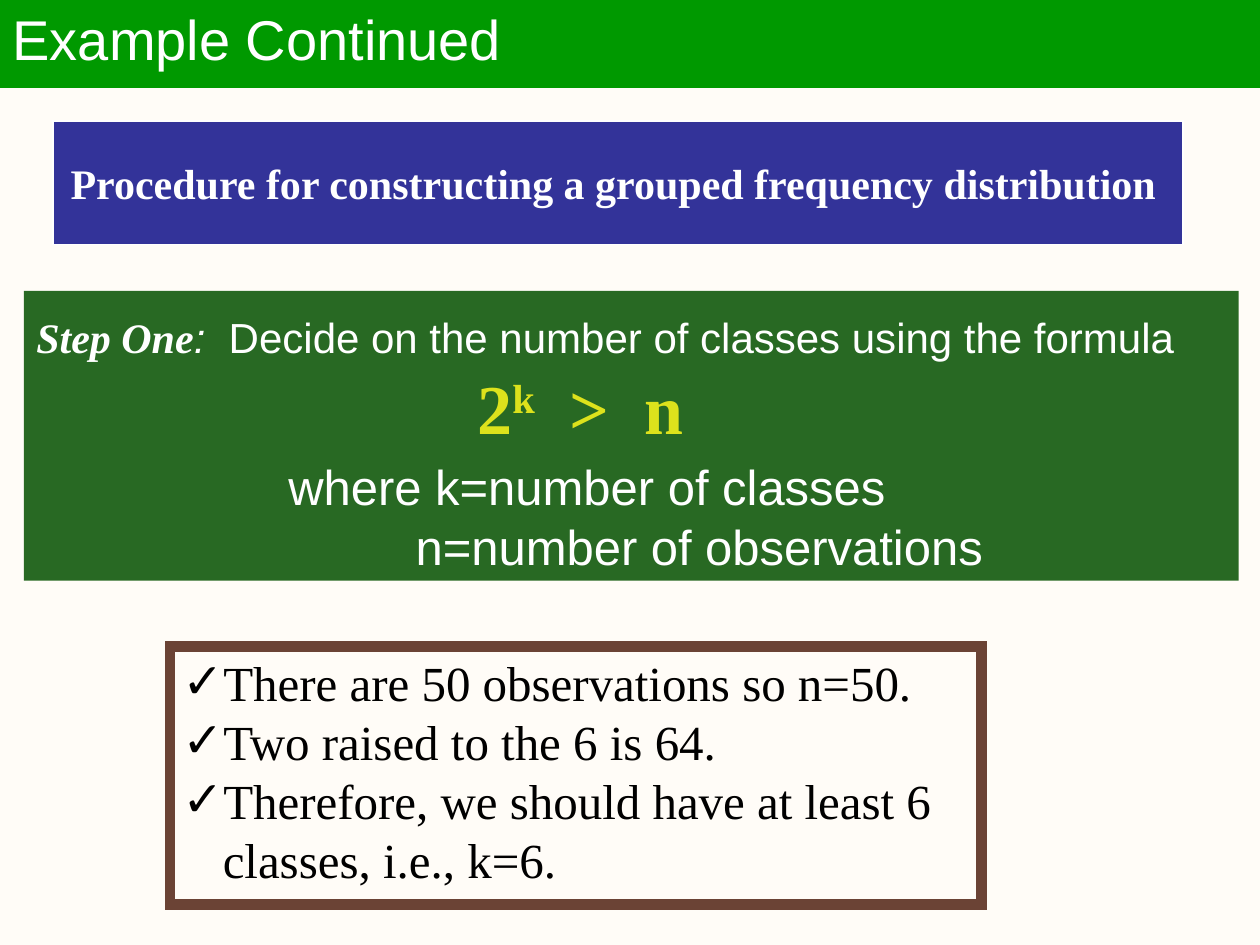
"""Build the slide on choosing the number of classes for a grouped frequency distribution."""
from lxml import etree
from pptx import Presentation, util as u
from pptx.dml.color import RGBColor
from pptx.enum import shapes, text
from pptx.oxml.ns import qn

THEME = {
    "paper": "FFFCF7", "white": "FFFFFF", "black": "000000",
    "title": "009900", "heading": "333399", "step": "286923",
    "formula": "DDE21C", "frame": "6B4335",
    "sans": "Arial", "serif": "Times New Roman",
    "title_size": 32, "lead_size": 24, "formula_size": 40, "body_size": 28,
}


def style_box(shape, fill, line, line_width, **frame_format):
    if fill:
        shape.fill.solid()
        shape.fill.fore_color.rgb = RGBColor.from_string(THEME[fill])
    else:
        shape.fill.background()
    if line:
        shape.line.color.rgb = RGBColor.from_string(THEME[line])
        shape.line.width = u.Pt(line_width)
        outline = shape._element.spPr.find(qn("a:ln"))
        etree.SubElement(outline, qn("a:miter")).set("lim", "800000")
    else:
        shape.line.fill.background()
    frame = shape.text_frame
    settings = {"word_wrap": True, "auto_size": text.MSO_AUTO_SIZE.NONE,
                "vertical_anchor": text.MSO_ANCHOR.TOP,
                "margin_left": u.Inches(0.1), "margin_right": u.Inches(0.1),
                "margin_top": u.Inches(0.05), "margin_bottom": u.Inches(0.05)}
    for name, value in (settings | frame_format).items():
        setattr(frame, name, value)
    return frame


def add_run(paragraph, words, size, face, color, **font_format):
    run = paragraph.add_run()
    run.text = words
    run.font.color.rgb = RGBColor.from_string(THEME[color])
    settings = {"size": u.Pt(THEME[size]), "name": THEME[face], "bold": False}
    for name, value in (settings | font_format).items():
        setattr(run.font, name, value)
    return run


presentation = Presentation()
presentation.slide_width, presentation.slide_height = u.Inches(10), u.Inches(7.5)
slide = presentation.slides.add_slide(presentation.slide_layouts[5])
slide.background.fill.solid()
slide.background.fill.fore_color.rgb = RGBColor.from_string(THEME["paper"])

title = slide.shapes.title
title_place = {"left": 0, "top": -0.02, "width": 10, "height": 0.71}
for name, value in title_place.items():
    setattr(title, name, u.Inches(value))
frame = style_box(title, "title", "title", 0.75, vertical_anchor=text.MSO_ANCHOR.MIDDLE)
paragraph = frame.paragraphs[0]
paragraph.alignment = text.PP_ALIGN.LEFT
paragraph.line_spacing = 0.9
add_run(paragraph, "Example Continued", "title_size", "sans", "white")

boxes = {}
for name, place in {
    "step": (0.19, 2.31, 9.64, 2.3),
    "findings": (1.35, 5.13, 6.44, 2.05),
    "heading": (0.42, 0.96, 8.97, 0.98),
}.items():
    boxes[name] = slide.shapes.add_shape(
        shapes.MSO_SHAPE.RECTANGLE, *[u.Inches(length) for length in place])
    boxes[name].shadow.inherit = False

frame = style_box(boxes["heading"], "heading", "white", 0.75,
                  vertical_anchor=text.MSO_ANCHOR.MIDDLE, margin_right=u.Inches(0.17))
paragraph = frame.paragraphs[0]
paragraph.alignment = text.PP_ALIGN.CENTER
add_run(paragraph, "Procedure for constructing a grouped frequency distribution",
        "lead_size", "serif", "white", bold=True)

lead = ("lead_size", "sans", "white")
formula = ("formula_size", "serif", "formula")
body = ("body_size", "sans", "white")
step_lines = [
    (0, 0, [("Step One", ("lead_size", "serif", "white"), {"bold": True, "italic": True}),
            (":", lead, {"italic": True}),
            ("  Decide on the number of classes using the formula", lead, {})]),
    (3.5, 1.5, [("2", formula, {"bold": True}), ("k", formula, {"bold": True}),
                ("  >  n", formula, {"bold": True})]),
    (2, 4.5, [("where k=number of classes", body, {})]),
    (3.01, 1, [("n=number of observations", body, {})]),
]
frame = style_box(boxes["step"], "step", None, 0, margin_top=u.Inches(0.16))
for index, (indent, space, runs) in enumerate(step_lines):
    paragraph = frame.add_paragraph() if index else frame.paragraphs[0]
    paragraph.alignment = text.PP_ALIGN.LEFT
    paragraph._p.get_or_add_pPr().set("marL", str(u.Inches(indent)))
    if index:
        paragraph.space_before = u.Pt(space)
    for words, look, font_format in runs:
        run = add_run(paragraph, words, *look, **font_format)
        if words == "k":
            run.font._element.set("baseline", "30000")

findings = [
    "There are 50 observations so n=50.",
    "Two raised to the 6 is 64.",
    "Therefore, we should have at least 6 classes, i.e., k=6.",
]
frame = style_box(boxes["findings"], None, "frame", 6)
for index, finding in enumerate(findings):
    paragraph = frame.add_paragraph() if index else frame.paragraphs[0]
    paragraph.alignment = text.PP_ALIGN.LEFT
    properties = paragraph._p.get_or_add_pPr()
    properties.set("marL", str(u.Inches(0.32)))
    properties.set("indent", str(u.Inches(-0.32)))
    color = etree.SubElement(properties, qn("a:buClr"))
    etree.SubElement(color, qn("a:srgbClr")).set("val", THEME["black"])
    etree.SubElement(properties, qn("a:buFont")).set("typeface", THEME["sans"])
    etree.SubElement(properties, qn("a:buChar")).set("char", "✓")
    add_run(paragraph, finding, "body_size", "serif", "black")

presentation.save("out.pptx")
